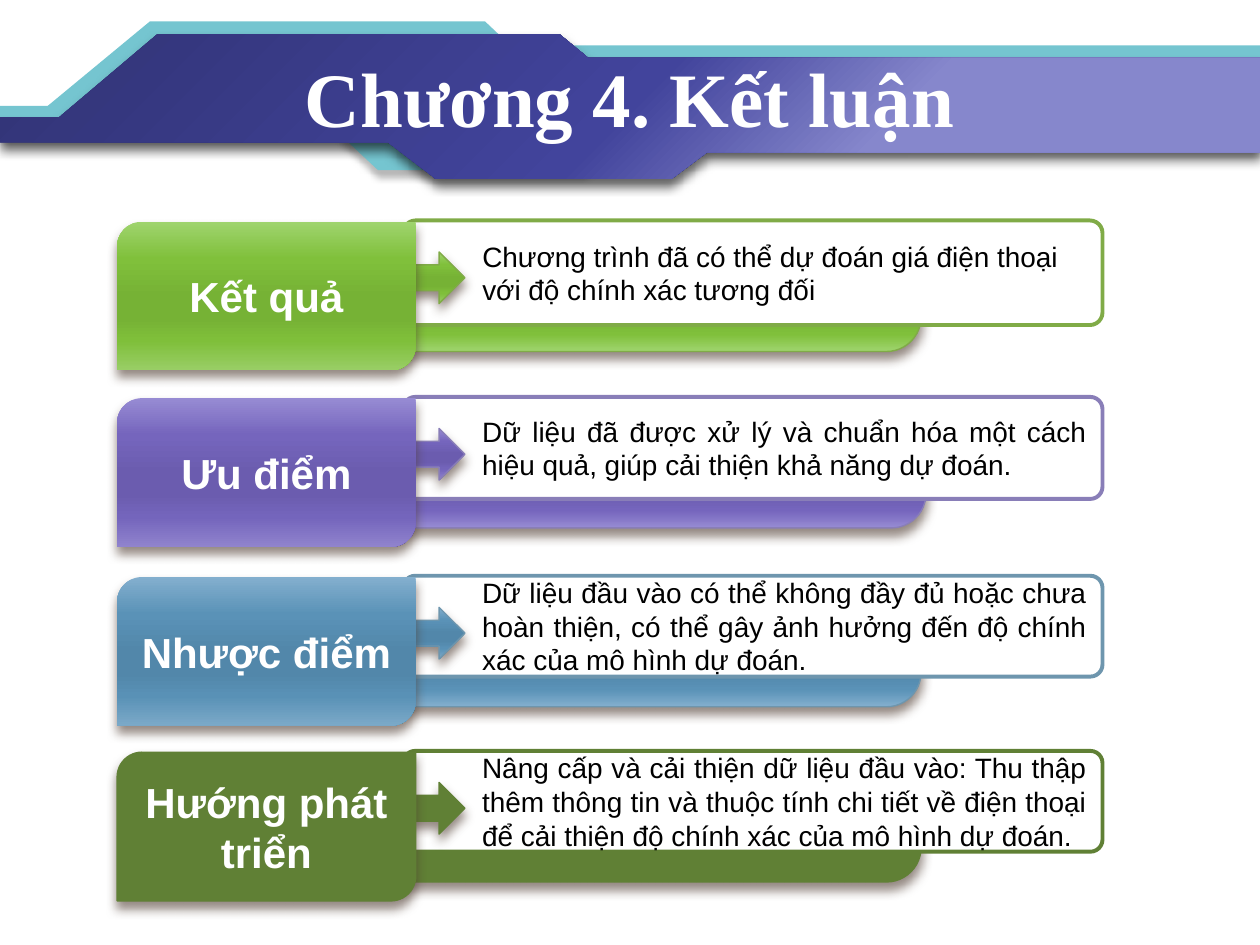
import dataclasses

import pptx
import pptx.dml.color
import pptx.enum.shapes
import pptx.enum.text
import pptx.oxml
import pptx.oxml.ns
import pptx.util
from lxml import etree

SHAPE = pptx.enum.shapes.MSO_SHAPE
ALIGN = pptx.enum.text.PP_ALIGN
ANCHOR = pptx.enum.text.MSO_ANCHOR
QN = pptx.oxml.ns.qn


@dataclasses.dataclass(frozen=True)
class Theme:
    """Colours, fonts and type sizes of the slide."""
    white: str = "FFFFFF"
    text: str = "000000"
    ribbon: str = "75C5D0"
    banner: tuple = ((0, "313375"), (50, "42449C"), (70, "8687CC"), (100, "8687CC"))
    ribbon_shadow: tuple = ("000000", 28, 4, 4)
    banner_shadow: tuple = ("000000", 60, 6, 4)
    row_shadow: tuple = ("4E3B30", 60, 6, 4)
    stops: tuple = (0, 25, 50, 65, 80, 100)
    green: tuple = ("9FD46E", "80C03B", "76B235", "76B235", "7FBF3A", "99CE66")
    violet: tuple = ("978BD3", "7565BD", "6B5CAF", "6B5CAF", "7465BC", "9083CD")
    blue: tuple = ("83AFCE", "5A92B7", "5287AA", "5287AA", "5991B6", "7BA9C8")
    olive: str = "608035"
    title_font: str = "Times New Roman"
    body_font: str = "Arial"
    title_size: int = 44
    label_size: int = 24
    body_size: int = 16
    thin: float = 0.79
    thick: float = 2.25


@dataclasses.dataclass(frozen=True)
class Row:
    """One conclusion: its place, colours and wording."""
    top: int
    fill: object
    line: str
    label: str
    body: str
    card_height: int = 80
    bar_width: int = 449
    align: object = ALIGN.JUSTIFY
    label_line: str = ""


T = Theme()
COLS, ROWS = 1000, 750
RIBBON = ((0, 67), (0, 88), (268, 88), (300, 118), (463, 118), (487, 97), (1000, 96),
          (1000, 19), (405, 19), (385, 0), (119, 0), (38, 67))
BANNER = ((0, 76), (0, 96), (308, 96), (346, 125), (533, 125), (561, 104), (1000, 104),
          (1000, 29), (467, 29), (444, 10), (125, 10), (47, 76))
CONTENT = (
    Row(175, T.green, "80AB47", "Kết quả",
        "Chương trình đã có thể dự đoán giá điện thoại với độ chính xác tương đối",
        card_height=83, align=ALIGN.LEFT),
    Row(315, T.violet, "897EB8", "Ưu điểm",
        "Dữ liệu đã được xử lý và chuẩn hóa một cách hiệu quả, giúp cải thiện "
        "khả năng dự đoán.", card_height=81, bar_width=453),
    Row(457, T.blue, "6E96AE", "Nhược điểm",
        "Dữ liệu đầu vào có thể không đầy đủ hoặc chưa hoàn thiện, có thể gây "
        "ảnh hưởng đến độ chính xác của mô hình dự đoán."),
    Row(596, T.olive, T.olive, "Hướng phát triển",
        "Nâng cấp và cải thiện dữ liệu đầu vào: Thu thập thêm thông tin và thuộc "
        "tính chi tiết về điện thoại để cải thiện độ chính xác của mô hình dự đoán.",
        label_line=T.olive),
)

prs = pptx.Presentation()
prs.slide_width = pptx.util.Inches(10)
prs.slide_height = pptx.util.Inches(7.5)
COL, ROW = prs.slide_width // COLS, prs.slide_height // ROWS


def rgb(value):
    """Return a colour object for a hex string."""
    return pptx.dml.color.RGBColor.from_string(value)


def place(box, x, y, w, h):
    """Turn grid units relative to a box into slide lengths."""
    return (box[0] + x) * COL, (box[1] + y) * ROW, w * COL, h * ROW


def paint(sp, fill, angle=90, line="", width=T.thin, shadow=None):
    """Give a shape its solid or gradient fill, outline and shadow."""
    if isinstance(fill, str):
        sp.fill.solid()
        sp.fill.fore_color.rgb = rgb(fill)
    else:
        sp.fill.gradient()
        grad = sp._element.spPr.find(QN("a:gradFill"))
        for child in list(grad):
            grad.remove(child)
        stops = etree.SubElement(grad, QN("a:gsLst"))
        for pos, color in fill:
            gs = etree.SubElement(stops, QN("a:gs"), pos=str(pos * 1000))
            etree.SubElement(gs, QN("a:srgbClr"), val=color)
        etree.SubElement(grad, QN("a:lin"), ang=str(angle * 60000), scaled="0")
    if line:
        sp.line.color.rgb = rgb(line)
        sp.line.width = pptx.util.Pt(width)
    else:
        sp.line.fill.background()
    sp.shadow.inherit = False
    if shadow:
        color, alpha, blur, dist = shadow
        effects = sp._element.spPr.find(QN("a:effectLst"))
        outer = etree.SubElement(
            effects, QN("a:outerShdw"), blurRad=str(pptx.util.Pt(blur)),
            dist=str(pptx.util.Pt(dist)), dir="5400000", rotWithShape="0")
        clr = etree.SubElement(outer, QN("a:srgbClr"), val=color)
        etree.SubElement(clr, QN("a:alpha"), val=str(alpha * 1000))


def write(sp, text, font, size, color, align, bold=False):
    """Write one vertically centred paragraph and return it."""
    tf = sp.text_frame
    tf.word_wrap = True
    tf.vertical_anchor = ANCHOR.MIDDLE
    p = tf.paragraphs[0]
    p.alignment = align
    r = p.add_run()
    r.text = text
    r.font.name = font
    r.font.size = pptx.util.Pt(size)
    r.font.bold = bold
    r.font.color.rgb = rgb(color)
    return p


def add_header(s, box):
    """Draw the two ribbons and the title inside the box."""
    for points, fill, shadow in ((RIBBON, T.ribbon, T.ribbon_shadow),
                                 (BANNER, T.banner, T.banner_shadow)):
        builder = s.shapes.build_freeform(*points[0], scale=(COL, ROW))
        builder.add_line_segments(points[1:], close=True)
        sp = builder.convert_to_shape(box[0] * COL, box[1] * ROW)
        paint(sp, fill, angle=45, shadow=shadow)
    sp = s.shapes.add_textbox(*place(box, 50, 9, 900, 101))
    write(sp, "Chương 4. Kết luận", T.title_font, T.title_size, T.white,
          ALIGN.CENTER, bold=True)


def add_row(s, box, row):
    """Draw one row: lower bar, text card, arrow and label."""
    add = s.shapes.add_shape
    fill = row.fill if isinstance(row.fill, str) else tuple(zip(T.stops, row.fill))

    bar = add(SHAPE.ROUND_2_DIAG_RECTANGLE, *place(box, 189, 49, row.bar_width, 55))
    bar.adjustments[0], bar.adjustments[1] = 0.17, 0.5
    bar._element.spPr.xfrm.set("flipV", "1")
    paint(bar, fill, line=row.line, shadow=T.row_shadow)

    card = add(SHAPE.ROUNDED_RECTANGLE, *place(box, 227, 0, 555, row.card_height))
    card.adjustments[0] = 0.12
    paint(card, T.white, line=row.line, width=T.thick)
    p = write(card, row.body, T.body_font, T.body_size, T.text, row.align)
    p.level = 1
    pPr = p._p.get_or_add_pPr()
    pPr.set("marL", str(50 * COL))
    pPr.set("indent", "0")

    arrow = add(SHAPE.RIGHT_ARROW, *place(box, 232, 25, 44, 41))
    paint(arrow, fill, line=row.line, shadow=T.row_shadow)

    label = add(SHAPE.ROUND_2_DIAG_RECTANGLE, *place(box, 0, 1, 237, 118))
    paint(label, fill, line=row.label_line, shadow=T.row_shadow)
    write(label, row.label, T.body_font, T.label_size, T.white, ALIGN.CENTER, bold=True)


def main():
    """Build the slide and save it."""
    s = prs.slides.add_slide(prs.slide_layouts[6])
    add_header(s, (0, 17))
    for row in CONTENT:
        add_row(s, (93, row.top), row)
    prs.save("out.pptx")


if __name__ == "__main__":
    main()
